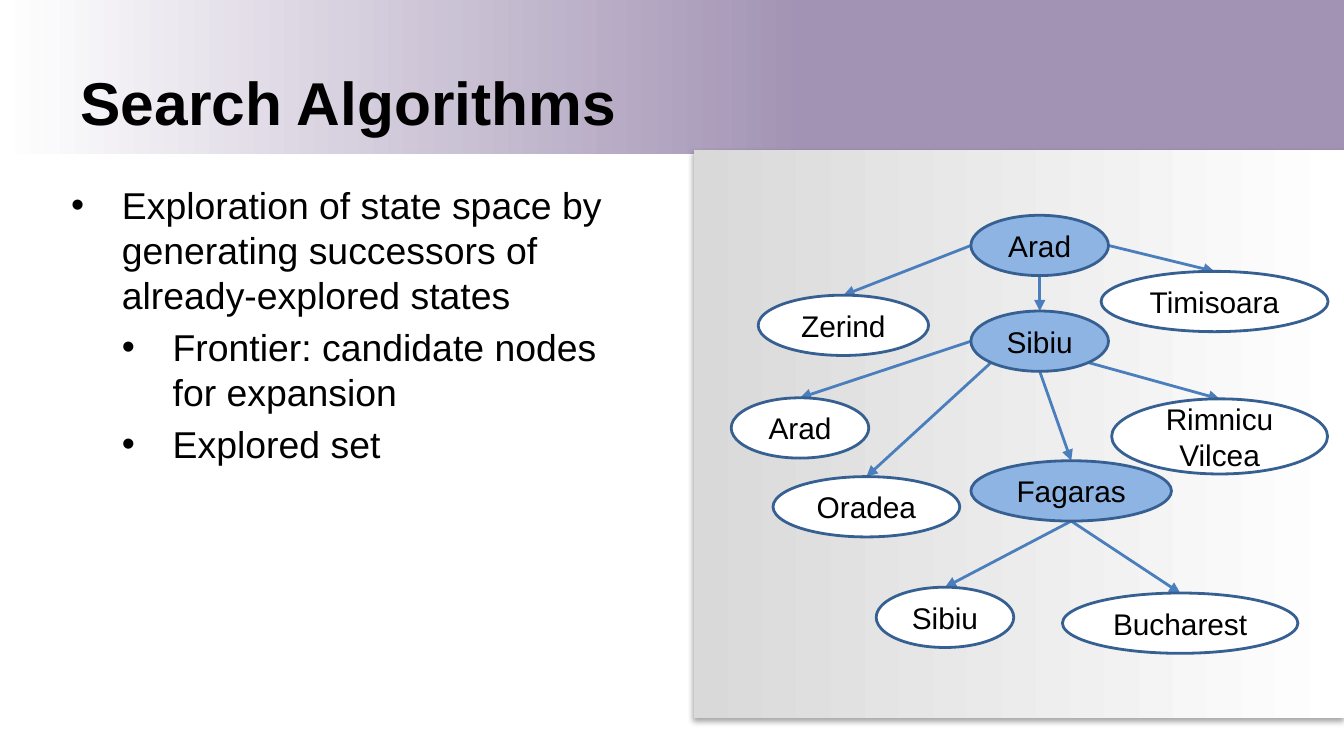
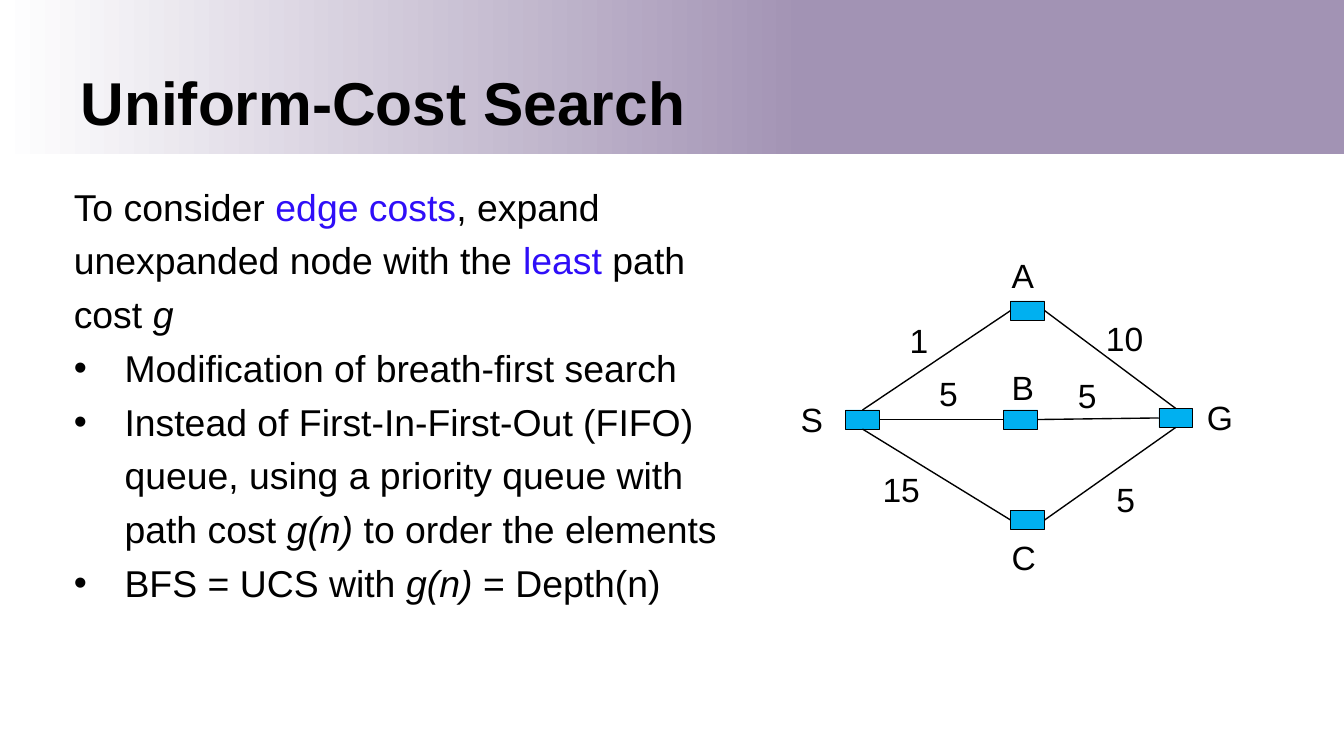
from math import sqrt

from lxml import etree
from pptx import Presentation
from pptx import util as u
from pptx.dml.color import RGBColor
from pptx.enum import shapes, text
from pptx.oxml.ns import qn

BLACK = RGBColor(0x00, 0x00, 0x00)
WHITE = RGBColor(0xFF, 0xFF, 0xFF)
PURPLE = RGBColor(0xA2, 0x93, 0xB4)
GREY = RGBColor(0xD9, 0xD9, 0xD9)
ARROW = RGBColor(0x4B, 0x7E, 0xBC)
OUTLINE = RGBColor(0x37, 0x60, 0x92)
EXPANDED = RGBColor(0x8E, 0xB4, 0xE3)
EMPHASIS = RGBColor(0x2F, 0x0E, 0xF8)
SKY = RGBColor(0x00, 0xB0, 0xF0)


def write(para, words, size=20, colour=BLACK, bold=False, italic=False):
    span = para.add_run()
    span.text = words
    span.font.name = "Arial"
    span.font.size = u.Pt(size)
    span.font.color.rgb = colour
    span.font.bold = bold
    span.font.italic = italic


def add_line(page, start, end, colour, width, arrow=False):
    points = [u.Cm(value) for value in (*start, *end)]
    line = page.shapes.add_connector(shapes.MSO_CONNECTOR.STRAIGHT, *points)
    line.line.color.rgb = colour
    line.line.width = u.Pt(width)
    properties = line.element.spPr
    if arrow:
        etree.SubElement(properties.find(qn("a:ln")), qn("a:tailEnd"), type="triangle")
    etree.SubElement(properties, qn("a:effectLst"))
    return line


deck = Presentation()
deck.slide_width, deck.slide_height = u.Cm(25.4), u.Cm(14.29)
layout = deck.slide_layouts[1]

# Titles and lists: each paragraph is (level, spans); level None has no bullet
PAGES = [
    dict(title="Search Algorithms", place=(1.09, 3.32, 11.1, 5.74), spacing=1.0, before=4,
         paras=[
             (0, [("Exploration of state space by generating successors of "
                   "already-explored states", {})]),
             (1, [("Frontier: candidate nodes for expansion", {})]),
             (1, [("Explored set", {})]),
         ]),
    dict(title="Uniform-Cost Search", place=(1.14, 3.18, 13.11, 9.53), spacing=1.2, before=0,
         paras=[
             (None, [("To consider ", {}), ("edge costs", {"colour": EMPHASIS}),
                     (", expand unexpanded node with the ", {}),
                     ("least ", {"colour": EMPHASIS}),
                     ("path cost ", {}), ("g", {"italic": True})]),
             (0, [("Modification of breath-first search", {})]),
             (0, [("Instead of First-In-First-Out (FIFO) queue, using a priority queue "
                   "with path cost ", {}),
                  ("g(n) ", {"italic": True}), ("to order the elements", {})]),
             (0, [("BFS = UCS with ", {}), ("g(n) ", {"italic": True}), ("= Depth(n)", {})]),
         ]),
]
INDENT = u.Cm(0.96)

for content in PAGES:
    page = deck.slides.add_slide(layout)

    title = page.shapes.title
    title.left, title.top, title.width, title.height = map(u.Cm, (1.27, 1.17, 22.86, 1.5))
    title.text_frame.auto_size = text.MSO_AUTO_SIZE.NONE
    title.text_frame.vertical_anchor = text.MSO_ANCHOR.MIDDLE
    para = title.text_frame.paragraphs[0]
    para.alignment = text.PP_ALIGN.LEFT
    write(para, content["title"], size=32.4, bold=True)

    body = page.placeholders[1]
    body.left, body.top, body.width, body.height = map(u.Cm, content["place"])
    frame = body.text_frame
    frame.auto_size = text.MSO_AUTO_SIZE.NONE
    for number, (level, spans) in enumerate(content["paras"]):
        para = frame.add_paragraph() if number else frame.paragraphs[0]
        para.level = level or 0
        settings = para._p.get_or_add_pPr()
        if level is None:
            settings.set("marL", "0")
            settings.set("indent", "0")
            etree.SubElement(settings, qn("a:buNone"))
        else:
            settings.set("marL", str(INDENT * (level + 1)))
            settings.set("indent", str(-INDENT))
            etree.SubElement(settings, qn("a:buFont"), typeface="Arial")
            etree.SubElement(settings, qn("a:buChar"), char="•")
        para.line_spacing = content["spacing"]
        para.space_before = u.Pt(content["before"] if number else 0)
        for words, style in spans:
            write(para, words, **style)

tree_page, graph_page = deck.slides

# Gradient band, moved to the shared layout, and the panel behind the tree
band = tree_page.shapes.add_shape(shapes.MSO_SHAPE.RECTANGLE, 0, 0, deck.slide_width, u.Cm(2.92))
panel = tree_page.shapes.add_shape(shapes.MSO_SHAPE.RECTANGLE,
                                   *map(u.Cm, (13.11, 2.84, 12.29, 10.74)))
for shape, first, last, reach in ((band, WHITE, PURPLE, 0.6), (panel, GREY, WHITE, 1)):
    shape.shadow.inherit = False
    shape.line.fill.background()
    shape.fill.gradient()
    shape.fill.gradient_angle = 0
    for stop, colour, position in zip(shape.fill.gradient_stops, (first, last), (0, reach)):
        stop.color.rgb = colour
        stop.position = position
band.element.nvSpPr.cNvPr.set("id", "20")
layout.shapes.element.insert(2, band.element)

shadow = etree.SubElement(panel.element.spPr.find(qn("a:effectLst")), qn("a:outerShdw"),
                          blurRad=str(u.Pt(3.1)), dist=str(u.Pt(1.8)),
                          dir="5400000", rotWithShape="0")
shade = etree.SubElement(shadow, qn("a:srgbClr"), val="000000")
etree.SubElement(shade, qn("a:alpha"), val="35000")

# Search tree: left, top, width, height, fill, lines of text
TREE = {
    "root": (18.35, 4.07, 2.6, 1.14, EXPANDED, ["Arad"]),
    "zerind": (14.33, 5.58, 3.22, 1.14, WHITE, ["Zerind"]),
    "sibiu": (18.35, 5.88, 2.6, 1.14, EXPANDED, ["Sibiu"]),
    "timisoara": (20.81, 5.13, 4.29, 1.14, WHITE, ["Timisoara"]),
    "arad": (13.82, 7.52, 2.6, 1.14, WHITE, ["Arad"]),
    "oradea": (14.61, 9.01, 3.53, 1.14, WHITE, ["Oradea"]),
    "fagaras": (18.35, 8.71, 3.79, 1.14, EXPANDED, ["Fagaras"]),
    "rimnicu": (21.01, 7.54, 4.08, 1.42, WHITE, ["Rimnicu", "Vilcea"]),
    "back": (16.56, 11.1, 2.6, 1.14, WHITE, ["Sibiu"]),
    "bucharest": (20.08, 11.21, 4.45, 1.14, WHITE, ["Bucharest"]),
}
# Where an arrow leaves its parent, as a direction from the centre
DIAGONAL = 1 / sqrt(2)
LEFT, RIGHT, BOTTOM = (-1, 0), (1, 0), (0, 1)
LOWER_LEFT, LOWER_RIGHT = (-DIAGONAL, DIAGONAL), (DIAGONAL, DIAGONAL)
ARROWS = [
    ("root", LEFT, "zerind"), ("root", BOTTOM, "sibiu"), ("root", RIGHT, "timisoara"),
    ("sibiu", LEFT, "arad"), ("sibiu", LOWER_LEFT, "oradea"),
    ("sibiu", BOTTOM, "fagaras"), ("sibiu", LOWER_RIGHT, "rimnicu"),
    ("fagaras", BOTTOM, "back"), ("fagaras", BOTTOM, "bucharest"),
]
for parent, (across, down), child in ARROWS:
    left, top, width, height = TREE[parent][:4]
    start = (left + width / 2 * (1 + across), top + height / 2 * (1 + down))
    left, top, width = TREE[child][:3]
    add_line(tree_page, start, (left + width / 2, top), ARROW, 1.5, arrow=True)

for *place, colour, names in TREE.values():
    node = tree_page.shapes.add_shape(shapes.MSO_SHAPE.OVAL, *map(u.Cm, place))
    node.shadow.inherit = False
    node.fill.solid()
    node.fill.fore_color.rgb = colour
    node.line.color.rgb = OUTLINE
    node.line.width = u.Pt(1.5)
    frame = node.text_frame
    frame.margin_left = frame.margin_right = frame.margin_top = frame.margin_bottom = 0
    frame.vertical_anchor = text.MSO_ANCHOR.MIDDLE
    for number, name in enumerate(names):
        para = frame.add_paragraph() if number else frame.paragraphs[0]
        para.alignment = text.PP_ALIGN.CENTER
        write(para, name, size=16)

# Cost graph: nodes, then edges between numbered sides
NODES = {"A": (19.1, 5.69), "S": (15.98, 7.75), "B": (18.97, 7.75),
         "G": (21.9, 7.72), "C": (19.1, 9.65)}
TOP_SIDE, LEFT_SIDE, BOTTOM_SIDE, RIGHT_SIDE = range(4)
EDGES = [
    ("S", TOP_SIDE, "A", LEFT_SIDE), ("S", RIGHT_SIDE, "B", LEFT_SIDE),
    ("S", BOTTOM_SIDE, "C", LEFT_SIDE), ("A", RIGHT_SIDE, "G", TOP_SIDE),
    ("B", RIGHT_SIDE, "G", LEFT_SIDE), ("G", BOTTOM_SIDE, "C", RIGHT_SIDE),
]
LABELS = [
    ("A", 18.87, 4.7), ("B", 18.87, 6.81), ("C", 18.87, 10.03),
    ("S", 14.88, 7.42), ("G", 22.56, 7.37),
    ("1", 16.94, 5.92), ("10", 20.65, 5.89), ("5", 17.5, 6.93),
    ("5", 20.12, 6.96), ("15", 16.43, 8.74), ("5", 20.85, 8.92),
]
squares = {}
for name, (left, top) in NODES.items():
    square = graph_page.shapes.add_shape(shapes.MSO_SHAPE.RECTANGLE,
                                         *map(u.Cm, (left, top, 0.64, 0.36)))
    square.shadow.inherit = False
    square.fill.solid()
    square.fill.fore_color.rgb = SKY
    square.line.color.rgb = BLACK
    square.line.width = u.Pt(0.25)
    squares[name] = square

for origin, origin_side, target, target_side in EDGES:
    edge = add_line(graph_page, NODES[origin], NODES[target], BLACK, 0.75)
    edge.begin_connect(squares[origin], origin_side)
    edge.end_connect(squares[target], target_side)

for words, left, top in LABELS:
    box = graph_page.shapes.add_textbox(*map(u.Cm, (left, top, 1.6, 1.02)))
    box.text_frame.word_wrap = True
    write(box.text_frame.paragraphs[0], words, size=18)

deck.save("out.pptx")
